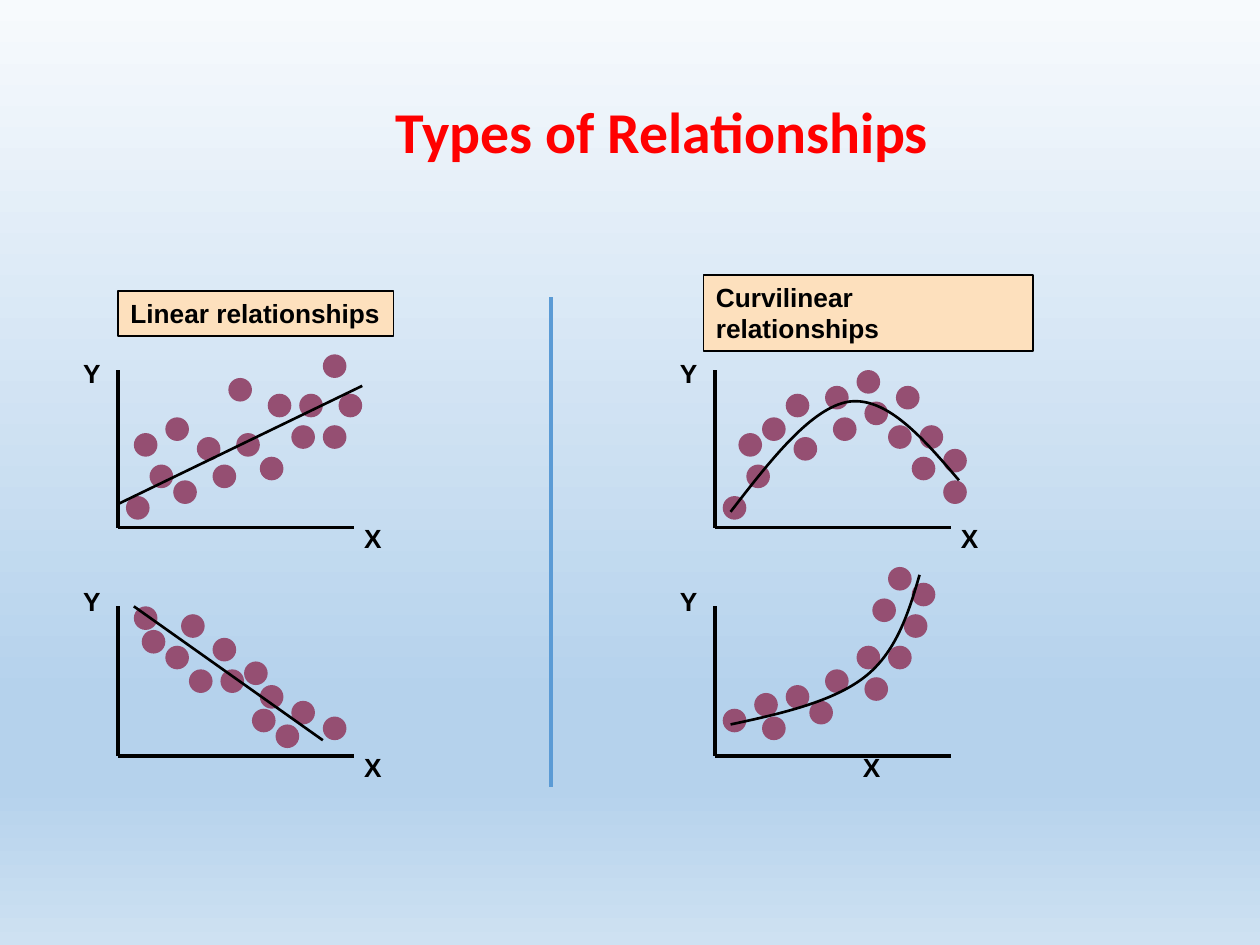
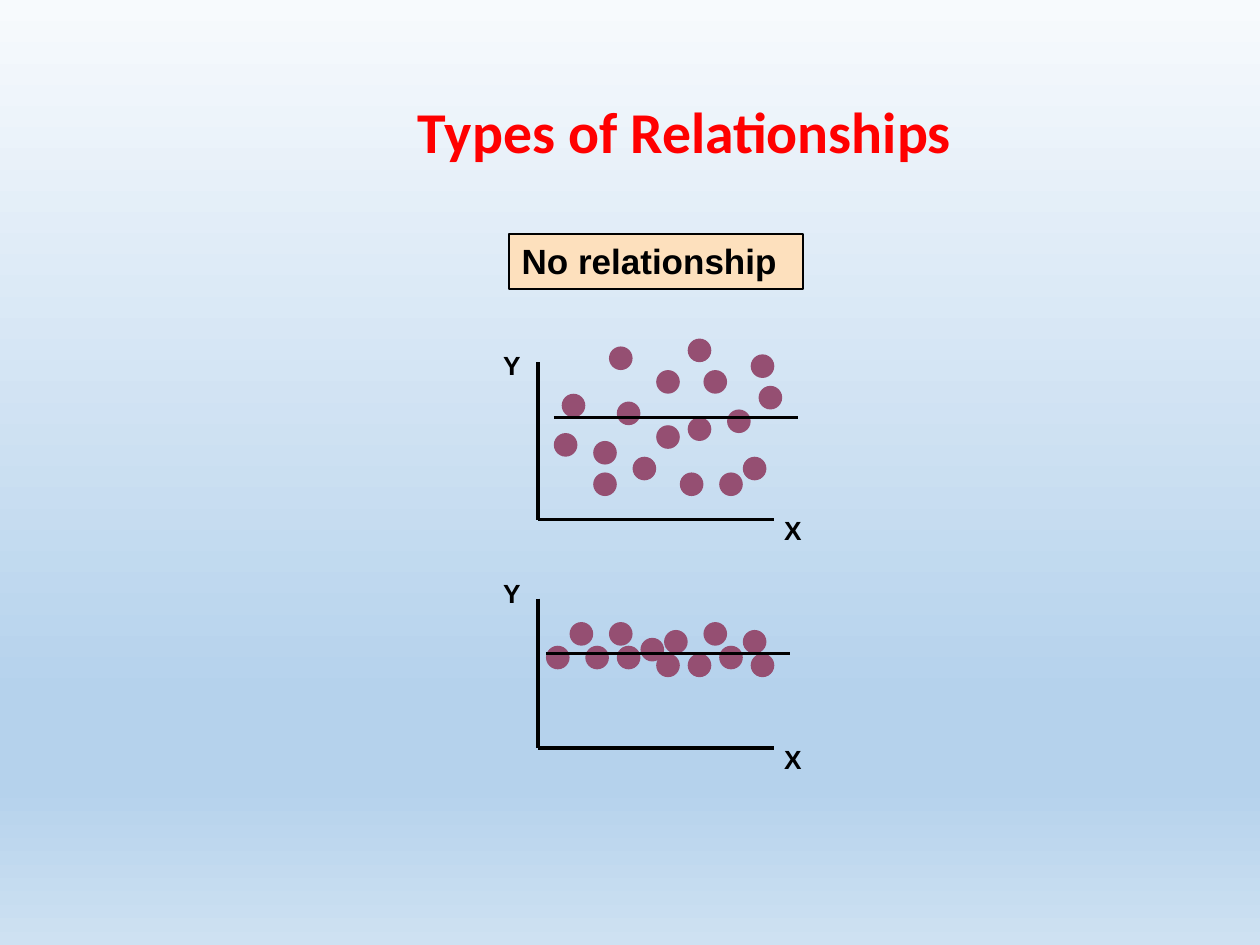
from copy import deepcopy

from lxml.etree import SubElement
from pptx import Presentation
from pptx.dml.color import RGBColor
from pptx.enum.shapes import MSO_CONNECTOR, MSO_SHAPE
from pptx.enum.text import MSO_ANCHOR, MSO_AUTO_SIZE, PP_ALIGN
from pptx.oxml.ns import qn
from pptx.util import Pt

BLACK = RGBColor(0x00, 0x00, 0x00)
RED = RGBColor(0xFF, 0x00, 0x00)
PLUM = RGBColor(0x95, 0x4F, 0x72)
PEACH = RGBColor(0xFD, 0xE0, 0xBD)
BLUE = RGBColor(0x5B, 0x9B, 0xD5)
BACKGROUND = [(0, RGBColor(0xF7, 0xFA, 0xFD)), (0.74, RGBColor(0xB5, 0xD2, 0xEC)),
              (0.83, RGBColor(0xB5, 0xD2, 0xEC)), (1, RGBColor(0xCE, 0xE1, 0xF2))]

TITLE = "Types of Relationships"
GRID = 4.5  # plot unit in points
DOT = 3 * GRID
AXIS_WIDTH = 135
X_LABEL_DX = 133.5

# Dots are (left, top) and fits are points, in grid units right of and above the origin.
# A fit of two points is a straight line; seven points are two Bezier segments.
RISING = dict(
    origin=(67.5, 301.5), height=90, fit=[(0, 3), (31, 18)],
    dots=[(1, 4), (4, 8), (26, 22), (28, 17), (7, 6), (23, 17), (18, 9), (19, 17),
          (14, 19), (2, 12), (6, 14), (10, 11.5), (22, 13), (15, 12), (12, 8), (26, 13)])
FALLING = dict(
    origin=(67.5, 432), height=85.5, fit=[(2, 19), (26, 2)],
    dots=[(20, 4), (3, 16), (26, 5), (8, 18), (18, 9), (22, 7), (12, 15), (2, 19),
          (6, 14), (9, 11), (17, 6), (16, 12), (13, 11)])
ARCH = dict(
    origin=(408.5, 301.5), height=90,
    fit=[(2, 2), (7.1, 8.6), (12.3, 15.3), (17.1, 16), (21.9, 16.6), (26.5, 11.3), (31, 6)],
    dots=[(1, 4), (4, 8), (29, 10), (23, 18), (9, 17), (29, 6), (25, 9), (19, 16),
          (14, 18), (3, 12), (6, 14), (10, 11.5), (22, 13), (15, 14), (18, 20), (26, 13)])
GROWTH = dict(
    origin=(408.5, 432), height=85.5, x_label_dx=77.5,
    fit=[(2, 4), (8.6, 5.4), (15, 6.9), (19, 10), (23, 13.1), (24.6, 18.1), (26, 23)],
    dots=[(1, 6), (5, 8), (25, 22), (24, 18), (6, 5), (20, 20), (19, 10), (18, 14),
          (22, 24), (9, 9), (22, 14), (14, 11), (12, 7)])
SCATTERED = dict(
    origin=(307.5, 297), height=90, fit=[(2, 13), (33, 13)],
    dots=[(19, 23), (2, 11), (26, 8), (28, 17), (7, 6), (9, 22), (19, 13), (21, 19), (27, 21),
          (15, 19), (7, 10), (10, 15), (23, 6), (15, 12), (12, 8), (3, 16), (18, 6), (24, 14)])
FLAT = dict(
    origin=(307.5, 427.5), height=85.5, fit=[(1, 12), (32, 12)],
    dots=[(27, 12), (6, 13), (26, 15), (9, 16), (21, 16), (23, 13), (13, 14), (1, 13),
          (4, 16), (10, 13), (19, 12), (16, 15), (15, 12)])

SLIDES = [
    dict(title_left=160, plots=[FALLING, RISING, GROWTH, ARCH],
         headings=[("Linear relationships", 15, (67.5, 166.5, 157.5, 25.5)),
                   ("Curvilinear relationships", 15, (402, 157, 188.5, 43.5))],
         divider=(315, 170, 315, 449.5)),
    dict(title_left=173, plots=[FLAT, SCATTERED],
         headings=[("No relationship", 20, (291, 133.5, 168, 31.5))]),
]


def set_background(master):
    fill = master.background.fill
    fill.gradient()
    fill.gradient_angle = 270
    stops = master._element.find(".//" + qn("a:gsLst"))
    while len(stops) < len(BACKGROUND):
        stops.append(deepcopy(stops[0]))
    for stop, (position, color) in zip(fill.gradient_stops, BACKGROUND):
        stop.position = position
        stop.color.rgb = color


def style_text(tf, size, font="Arial", color=BLACK):
    for p in tf.paragraphs:
        for r in p.runs:
            r.font.size = Pt(size)
            r.font.name = font
            r.font.bold = True
            r.font.color.rgb = color


def add_title(slide, left):
    sp = slide.shapes.title
    sp.left, sp.top, sp.width, sp.height = Pt(left), Pt(47.5), Pt(436.5), Pt(58.5)
    tf = sp.text_frame
    tf.text = TITLE
    tf.word_wrap = True
    tf.auto_size = MSO_AUTO_SIZE.NONE
    tf.vertical_anchor = MSO_ANCHOR.MIDDLE
    tf.margin_left = tf.margin_right = Pt(5.4)
    tf.margin_top = tf.margin_bottom = Pt(2.7)
    p = tf.paragraphs[0]
    p.alignment = PP_ALIGN.CENTER
    p.line_spacing = 0.9
    style_text(tf, 33, "Calibri", RED)


def add_heading(slide, text, size, box):
    sp = slide.shapes.add_shape(MSO_SHAPE.RECTANGLE, *map(Pt, box))
    sp.shadow.inherit = False
    sp.fill.solid()
    sp.fill.fore_color.rgb = PEACH
    sp.line.color.rgb = BLACK
    sp.line.width = Pt(1)
    tf = sp.text_frame
    tf.text = text
    tf.word_wrap = True
    tf.auto_size = MSO_AUTO_SIZE.SHAPE_TO_FIT_TEXT
    tf.vertical_anchor = MSO_ANCHOR.TOP
    tf.paragraphs[0].alignment = PP_ALIGN.LEFT
    style_text(tf, size)


def add_line(slide, ends, width, color=BLACK):
    line = slide.shapes.add_connector(MSO_CONNECTOR.STRAIGHT, *map(Pt, ends))
    line.line.color.rgb = color
    line.line.width = Pt(width)
    SubElement(line._element.spPr, qn("a:effectLst"))


def add_curve(slide, points):
    """Draw a start point followed by triples of Bezier points."""
    corners = [(Pt(x), Pt(y)) for x, y in points]
    builder = slide.shapes.build_freeform(*corners[0])
    builder.add_line_segments(corners[1:], close=False)
    sp = builder.convert_to_shape()
    sp.shadow.inherit = False
    sp.fill.background()
    sp.line.color.rgb = BLACK
    sp.line.width = Pt(1.5)
    segments = list(sp._element.iter(qn("a:lnTo")))
    for i in range(0, len(segments), 3):
        cubic = SubElement(segments[i].getparent(), qn("a:cubicBezTo"))
        for segment in segments[i:i + 3]:
            cubic.append(segment[0])
            segment.getparent().remove(segment)


def add_axis_label(slide, text, left, top):
    tf = slide.shapes.add_textbox(Pt(left), Pt(top), Pt(24.5), Pt(25)).text_frame
    tf.text = text
    tf.word_wrap = False
    tf.auto_size = MSO_AUTO_SIZE.SHAPE_TO_FIT_TEXT
    style_text(tf, 15)


def add_dot(slide, left, top):
    sp = slide.shapes.add_shape(MSO_SHAPE.OVAL, Pt(left), Pt(top), Pt(DOT), Pt(DOT))
    sp.shadow.inherit = False
    sp.fill.solid()
    sp.fill.fore_color.rgb = PLUM
    sp.line.fill.background()


def add_plot(slide, origin, height, dots, fit, x_label_dx=X_LABEL_DX):
    x0, y0 = origin

    def place(point):
        return x0 + point[0] * GRID, y0 - point[1] * GRID

    add_line(slide, (x0, y0 - height, x0, y0), 2)
    for dot in dots:
        add_dot(slide, *place(dot))
    add_line(slide, (x0, y0, x0 + AXIS_WIDTH, y0), 2)
    add_axis_label(slide, "Y", x0 - 27, y0 - 101)
    add_axis_label(slide, "X", x0 + x_label_dx, y0 - 6.5)
    points = [place(point) for point in fit]
    if len(points) == 2:
        add_line(slide, points[0] + points[1], 1.5)
    else:
        add_curve(slide, points)


def main():
    prs = Presentation()
    prs.slide_width, prs.slide_height = Pt(720), Pt(540)
    set_background(prs.slide_master)
    title_only = prs.slide_layouts[5]
    for content in SLIDES:
        slide = prs.slides.add_slide(title_only)
        add_title(slide, content["title_left"])
        for plot in content["plots"]:
            add_plot(slide, **plot)
        for heading in content["headings"]:
            add_heading(slide, *heading)
        if "divider" in content:
            add_line(slide, content["divider"], 2.25, BLUE)
    prs.save("out.pptx")


if __name__ == "__main__":
    main()
